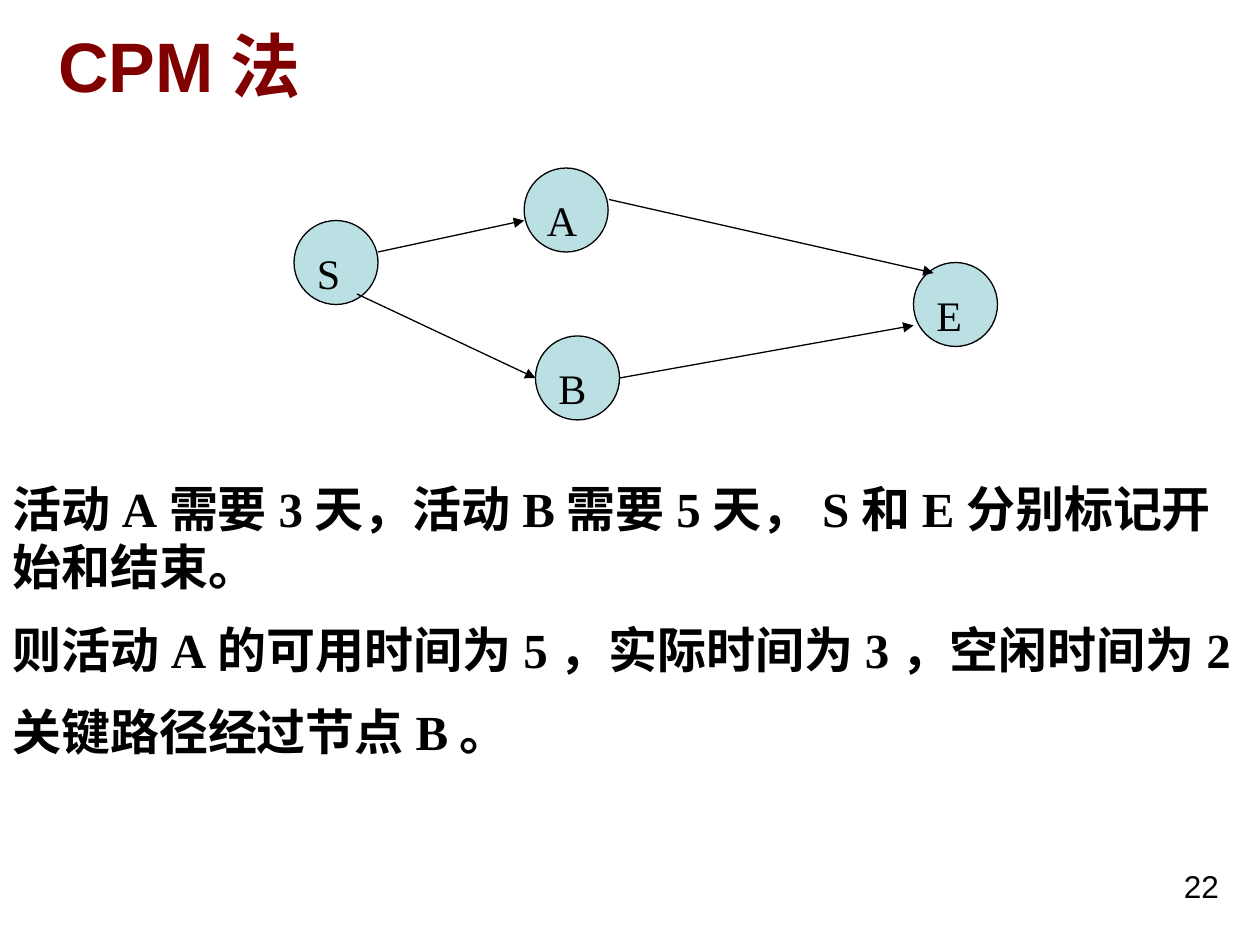
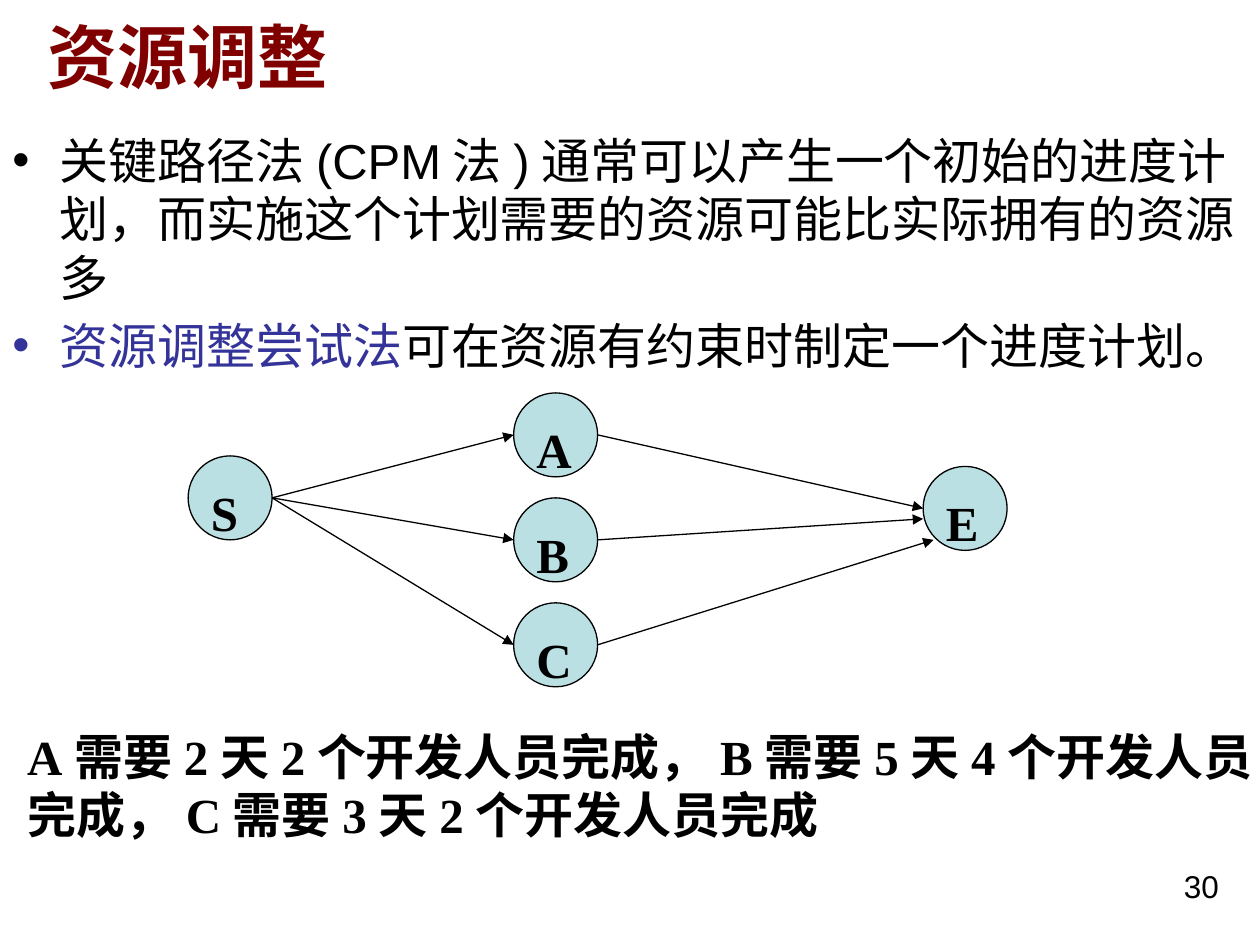
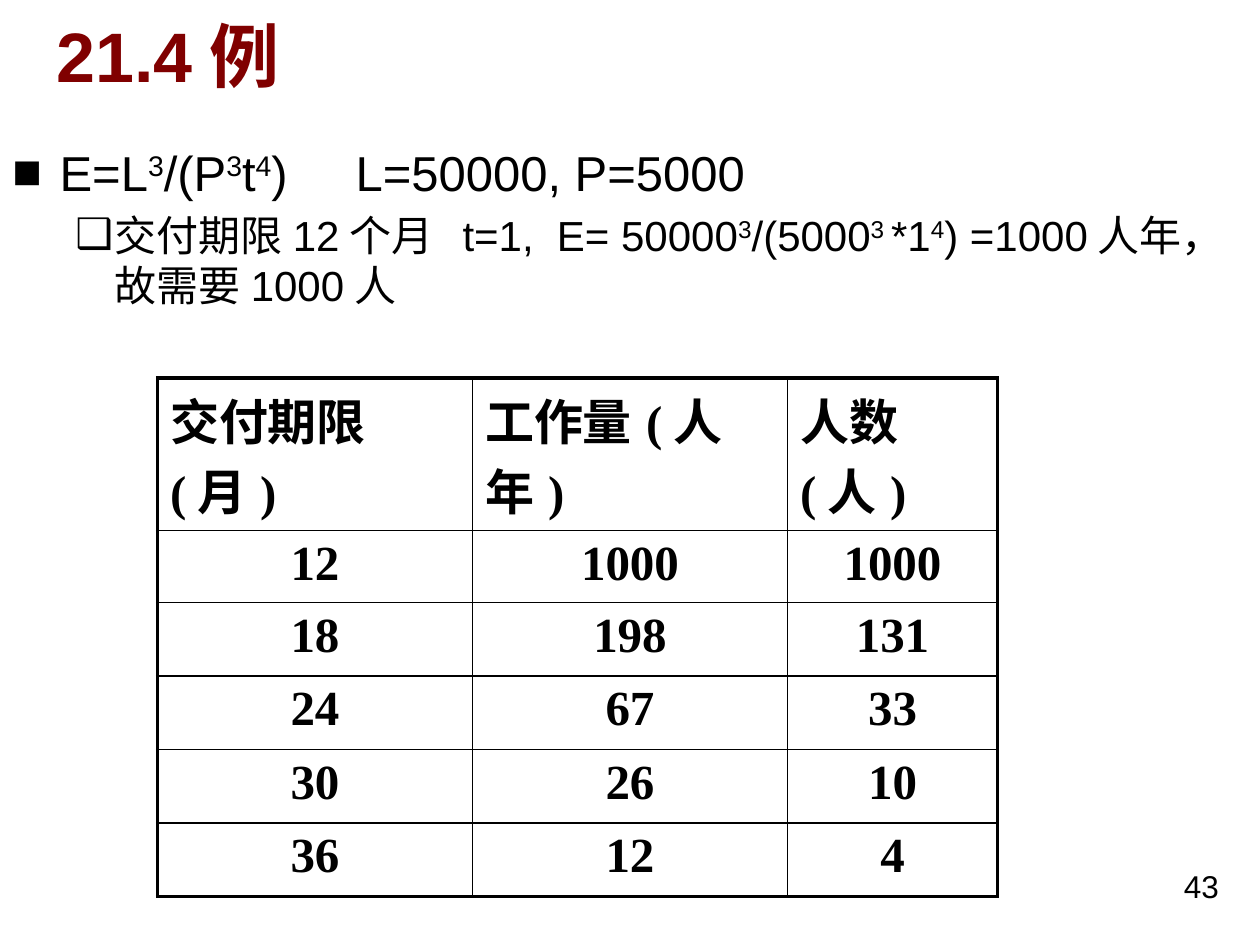
from lxml import etree
from pptx import Presentation
from pptx.dml.color import RGBColor
from pptx.enum import shapes, text
from pptx.oxml import ns
from pptx.util import Pt

COLORS = {"title": "800000", "ink": "000000", "node": "BBE0E3", "accent": "333399"}
SANS, SERIF = "Arial", "Times New Roman"
LEFT, CENTER, RIGHT = text.PP_ALIGN.LEFT, text.PP_ALIGN.CENTER, text.PP_ALIGN.RIGHT
DIAMETER = 48


def write(tf, paras, size=28, font=SERIF, color="ink", bold=False, align=LEFT,
          before=0.5, pitch=None, bullets=()):
    tf.word_wrap = True
    for i, runs in enumerate(paras):
        p = tf.paragraphs[0] if i == 0 else tf.add_paragraph()
        p.alignment = align
        char, margin, indent, pt = bullets[i] if bullets else (None, 0, 0, size)
        p.space_before = Pt(round(pt * before, 1) if i else 0)
        if pitch:
            p.line_spacing = Pt(round(pt * pitch, 1))
        if char:
            pPr = p._p.get_or_add_pPr()
            pPr.set("marL", str(Pt(margin)))
            pPr.set("indent", str(Pt(-indent)))
            etree.SubElement(pPr, ns.qn("a:buFont")).set("typeface", SANS)
            etree.SubElement(pPr, ns.qn("a:buChar")).set("char", char)
        for run in [runs] if isinstance(runs, str) else runs:
            words, tint, raised = (run, color, False) if isinstance(run, str) else run
            r = p.add_run()
            r.text = words
            r.font.size, r.font.name, r.font.bold = Pt(pt), font, bold
            r.font.color.rgb = RGBColor.from_string(COLORS[tint])
            rPr = r._r.get_or_add_rPr()
            rPr.set("lang", "zh-CN")
            if raised:
                rPr.set("baseline", "30000")


def sup(words):
    return words, "ink", True


deck = [
    dict(
        title="CPM法", title_font=SANS, title_box=(26, -8, 612, 90), number="22",
        label_size=24, label_bold=False,
        nodes={"S": (168, 126), "A": (299.5, 96), "B": (306, 192), "E": (522, 150)},
        arrows=[(216, 144, 299.5, 126), (348, 114, 533.5, 156),
                (204, 168, 306, 216), (354, 216, 522, 186)],
        note_box=(0, 270, 720, 175.5),
        note=["活动A需要3天，活动B需要5天，S和E分别标记开始和结束。",
              "则活动A的可用时间为5，实际时间为3，空闲时间为2",
              "关键路径经过节点B。"],
    ),
    dict(
        title="资源调整", title_font=SERIF, title_box=(20, -13, 612, 90), number="30",
        body_box=(0, 71.5, 720, 216),
        body=["关键路径法(CPM法)通常可以产生一个初始的进度计划，而实施这个计划需要的资源可能比实际拥有的资源多",
              [("资源调整尝试法", "accent", False), "可在资源有约束时制定一个进度计划。"]],
        bullets=[("•", 27, 27, 28)] * 2,
        label_size=28, label_bold=True,
        nodes={"S": (107.5, 260.5), "E": (527.5, 266.5)}
        | {name: (293.5, 224.5 + 60 * i) for i, name in enumerate("ABC")},
        arrows=[(155.5, 284.5, 293.5, 248.5 + 60 * i) for i in range(3)]
        + [(341.5, 248.5, 527.5, 290.5), (341.5, 308.5, 527.5, 296.5),
           (341.5, 368.5, 533.5, 308.5)],
        note_box=(8.5, 412, 720, 74),
        note=["A需要2天2个开发人员完成，B需要5天4个开发人员完成，C需要3天2个开发人员完成"],
    ),
    dict(
        title="21.4例", title_font=SANS, title_box=(25, -2, 612, 66), number="43",
        body_box=(0, 78, 720, 120),
        body=[["E=L", sup("3"), "/(P", sup("3"), "t", sup("4"), ")     L=50000, P=5000"],
              ["交付期限12个月  t=1,  E= 50000", sup("3"), "/(5000", sup("3 "), "*1",
               sup("4"), ") =1000人年， 故需要1000人"]],
        bullets=[("■", 27, 27, 28), ("❑", 58.5, 22.5, 24)],
        table=[["交付期限(月)", "工作量(人年)", "人数(人)"],
               ["12", "1000", "1000"], ["18", "198", "131"], ["24", "67", "33"],
               ["30", "26", "10"], ["36", "12", "4"]],
    ),
]

prs = Presentation()
prs.slide_width, prs.slide_height = Pt(720), Pt(540)

for page in deck:
    s = prs.slides.add_slide(prs.slide_layouts[5])
    title = s.shapes.title
    title.left, title.top, title.width, title.height = map(Pt, page["title_box"])
    title.text_frame.vertical_anchor = text.MSO_ANCHOR.MIDDLE
    write(title.text_frame, [page["title"]], size=40, font=page["title_font"],
          color="title", bold=True)

    if "body" in page:
        body = s.shapes.add_textbox(*map(Pt, page["body_box"]))
        write(body.text_frame, page["body"], font=SANS, before=0.2, pitch=1.19,
              bullets=page["bullets"])

    for name, (x, y) in page.get("nodes", {}).items():
        node = s.shapes.add_group_shape()
        sp = node.shapes.add_shape(shapes.MSO_SHAPE.OVAL, Pt(x), Pt(y),
                                   Pt(DIAMETER), Pt(DIAMETER))
        sp.shadow.inherit = False
        sp.fill.solid()
        sp.fill.fore_color.rgb = RGBColor.from_string(COLORS["node"])
        sp.line.color.rgb = RGBColor.from_string(COLORS["ink"])
        sp.line.width = Pt(0.75)
        size = page["label_size"]
        label = node.shapes.add_textbox(Pt(x + 6), Pt(y + 12), Pt(36), Pt(size + 12))
        write(label.text_frame, [name], size=size, bold=page["label_bold"], pitch=1.19)

    for ends in page.get("arrows", []):
        arrow = s.shapes.add_connector(shapes.MSO_CONNECTOR.STRAIGHT, *map(Pt, ends))
        arrow.line.color.rgb = RGBColor.from_string(COLORS["ink"])
        arrow.line.width = Pt(0.75)
        etree.SubElement(arrow.line._get_or_add_ln(), ns.qn("a:tailEnd")).set("type", "triangle")
        etree.SubElement(arrow._element.spPr, ns.qn("a:effectLst"))

    if "note" in page:
        note = s.shapes.add_textbox(*map(Pt, page["note_box"]))
        write(note.text_frame, page["note"], bold=True, pitch=1.19)

    if "table" in page:
        rows = page["table"]
        table = s.shapes.add_table(len(rows), 3, Pt(90), Pt(216), Pt(480), Pt(249)).table
        table.first_row = table.horz_banding = False
        for column, width in zip(table.columns, (180, 180, 120)):
            column.width = Pt(width)
        for i, row in enumerate(rows):
            table.rows[i].height = Pt(41 if i < 2 else 42)
            for j, value in enumerate(row):
                cell = table.cell(i, j)
                write(cell.text_frame, [value], bold=True, align=CENTER if i else LEFT,
                      pitch=None if i else 1.43)
                tcPr = cell._tc.get_or_add_tcPr()
                outer = {"lnL": j == 0, "lnR": j == 2, "lnT": i == 0,
                         "lnB": i == len(rows) - 1}
                for side, is_outer in outer.items():
                    ln = etree.SubElement(tcPr, ns.qn("a:" + side))
                    ln.set("w", str(Pt(2.25 if is_outer else 1)))
                    fill = etree.SubElement(ln, ns.qn("a:solidFill"))
                    etree.SubElement(fill, ns.qn("a:srgbClr")).set("val", COLORS["ink"])
                cell.fill.background()

    number = s.shapes.add_textbox(Pt(535.5), Pt(492), Pt(168), Pt(37.5))
    write(number.text_frame, [page["number"]], size=18, font=SANS, align=RIGHT)

prs.save("out.pptx")
